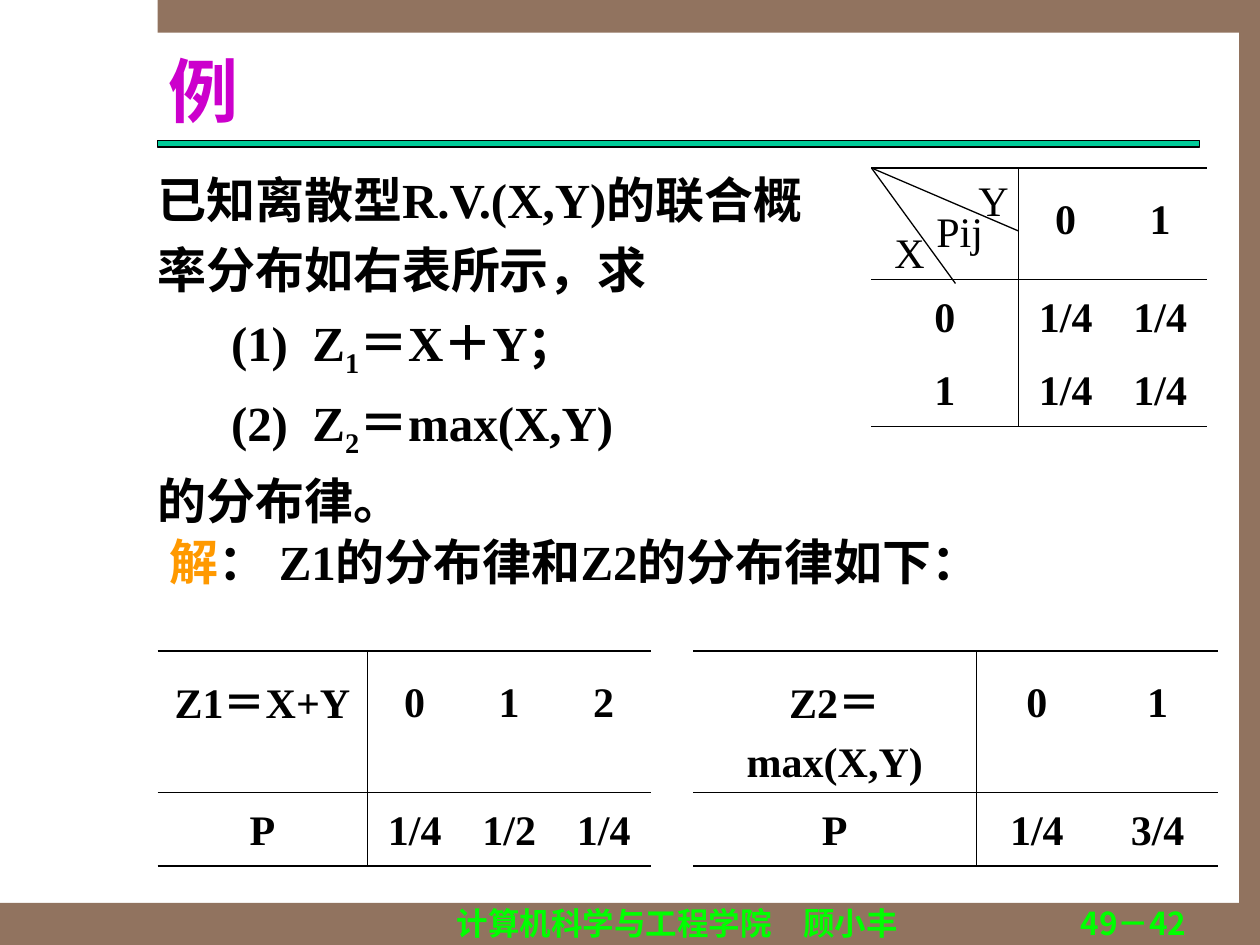
from lxml.etree import SubElement
from pptx import Presentation
from pptx.dml.color import RGBColor
from pptx.enum.shapes import MSO_CONNECTOR as Connector, MSO_SHAPE as Shape
from pptx.enum.text import MSO_ANCHOR as Anchor, PP_ALIGN as Align
from pptx.oxml.ns import qn
from pptx.util import Pt

PX = 9525
SERIF, SANS = "Times New Roman", "Noto Sans CJK SC"
BLACK, BROWN, GREEN = "000000", "91735F", "00FF00"


def hue(code):
    return RGBColor.from_string(code)


def write(para, text, size, color=BLACK, bold=True, face=SERIF):
    span = para.add_run()
    span.text = text
    for name, value in {"size": Pt(size), "bold": bold, "name": face}.items():
        setattr(span.font, name, value)
    span.font.color.rgb = hue(color)
    props = span._r.get_or_add_rPr()
    SubElement(props, qn("a:ea"), typeface=SANS)
    return props


deck = Presentation()
deck.slide_width, deck.slide_height = 960 * PX, 720 * PX
page = deck.slides.add_slide(deck.slide_layouts[6])

for left, top, width, height, color in [
    (0, 688, 960, 32, BROWN),
    (120, 0, 840, 25, BROWN),
    (944, 24, 16, 664, BROWN),
    (120, 107, 794, 5, "00CC99"),
]:
    bar = page.shapes.add_shape(Shape.RECTANGLE, left * PX, top * PX, width * PX, height * PX)
    bar.shadow.inherit = False
    bar.fill.solid()
    bar.fill.fore_color.rgb = hue(color)
    if color == BROWN:
        bar.line.fill.background()
    else:
        bar.line.color.rgb = hue(BLACK)
        bar.line.width = Pt(0.75)

frames = {}
for name, left, top, width, height, padded in [
    ("footer", 296, 689, 440, 29, False),
    ("title", 128, 36, 784, 64, False),
    ("problem", 120, 120, 512, 338, False),
    ("solution", 120, 400, 784, 60, True),
    ("number", 744, 689, 160, 29, False),
    ("X", 672, 168, 40, 48, True),
    ("Y", 736, 128, 40, 48, True),
    ("Pij", 704, 152, 56, 54, True),
]:
    box = page.shapes.add_textbox(left * PX, top * PX, width * PX, height * PX)
    frame = frames[name] = box.text_frame
    frame.word_wrap = True
    if not padded:
        for side in ("left", "right", "top", "bottom"):
            setattr(frame, f"margin_{side}", 0)

for name, text, size, color, face, align in [
    ("footer", "计算机科学与工程学院　顾小丰", 18, GREEN, SANS, Align.CENTER),
    ("number", "49－42", 18, GREEN, SANS, Align.RIGHT),
    ("title", "例", 40, "CC00CC", SERIF, Align.LEFT),
    ("solution", "解", 28, "FF9900", SERIF, Align.LEFT),
]:
    para = frames[name].paragraphs[0]
    para.alignment = align
    write(para, text, size, color, face=face)
write(frames["solution"].paragraphs[0], "： Z1的分布律和Z2的分布律如下：", 28)
frames["title"].vertical_anchor = Anchor.MIDDLE
for name in ("X", "Y", "Pij"):
    write(frames[name].paragraphs[0], name, 24, bold=False)

problem = frames["problem"]
for index, pieces in enumerate([
    ["已知离散型R.V.(X,Y)的联合概"],
    ["率分布如右表所示，求"],
    ["(1)\tZ", "1", "＝X＋Y；"],
    ["(2)\tZ", "2", "＝max(X,Y)"],
    ["的分布律。"],
]):
    para = problem.add_paragraph() if index else problem.paragraphs[0]
    para.line_spacing = 1.2
    if len(pieces) > 1:
        indent = para._p.get_or_add_pPr()
        indent.set("marL", str(118 * PX))
        indent.set("indent", str(-62 * PX))
    for order, text in enumerate(pieces):
        props = write(para, text, 28)
        if order == 1:
            props.set("baseline", "-25000")

for left, top, widths, heights, rows in [
    (664, 128, [112, 72, 72], [85, 56, 56],
     [["", "0", "1"], ["0", "1/4", "1/4"], ["1", "1/4", "1/4"]]),
    (120, 496, [160, 72, 72, 72], [108, 56],
     [["Z1＝X+Y", "0", "1", "2"], ["P", "1/4", "1/2", "1/4"]]),
    (528, 496, [216, 92, 92], [108, 56],
     [["Z2＝max(X,Y)", "0", "1"], ["P", "1/4", "3/4"]]),
]:
    table = page.shapes.add_table(
        len(rows), len(widths), left * PX, top * PX, sum(widths) * PX, sum(heights) * PX
    ).table
    table.first_row = table.horz_banding = False
    for column, width in zip(table.columns, widths):
        column.width = width * PX
    for row, height in zip(table.rows, heights):
        row.height = height * PX
    last = len(rows) - 1
    for r, row in enumerate(rows):
        for c, text in enumerate(row):
            cell = table.cell(r, c)
            para = cell.text_frame.paragraphs[0]
            para.alignment = Align.CENTER
            para.line_spacing = 1.5 if r == 0 and c else 1.2
            if text:
                write(para, text, 24)
            borders = {
                "L": 0.45 if c == 1 else 0,
                "R": 0.45 if c == 0 else 0,
                "T": {0: 1.08, 1: 0.45}.get(r, 0),
                "B": 1.08 if r == last else 0.45 if r == 0 else 0,
            }
            props = cell._tc.get_or_add_tcPr()
            for side, weight in borders.items():
                edge = SubElement(props, qn(f"a:ln{side}"), w=str(Pt(weight)))
                if weight:
                    ink = SubElement(edge, qn("a:solidFill"))
                    SubElement(ink, qn("a:srgbClr"), val=BLACK)
                else:
                    SubElement(edge, qn("a:noFill"))
            cell.fill.background()

for right, bottom in [(776, 176), (728, 216)]:
    diagonal = page.shapes.add_connector(Connector.STRAIGHT, 664 * PX, 128 * PX, right * PX, bottom * PX)
    diagonal.line.color.rgb = hue(BLACK)
    diagonal.line.width = Pt(0.75)
    SubElement(diagonal._element.spPr, qn("a:effectLst"))

deck.save("out.pptx")
